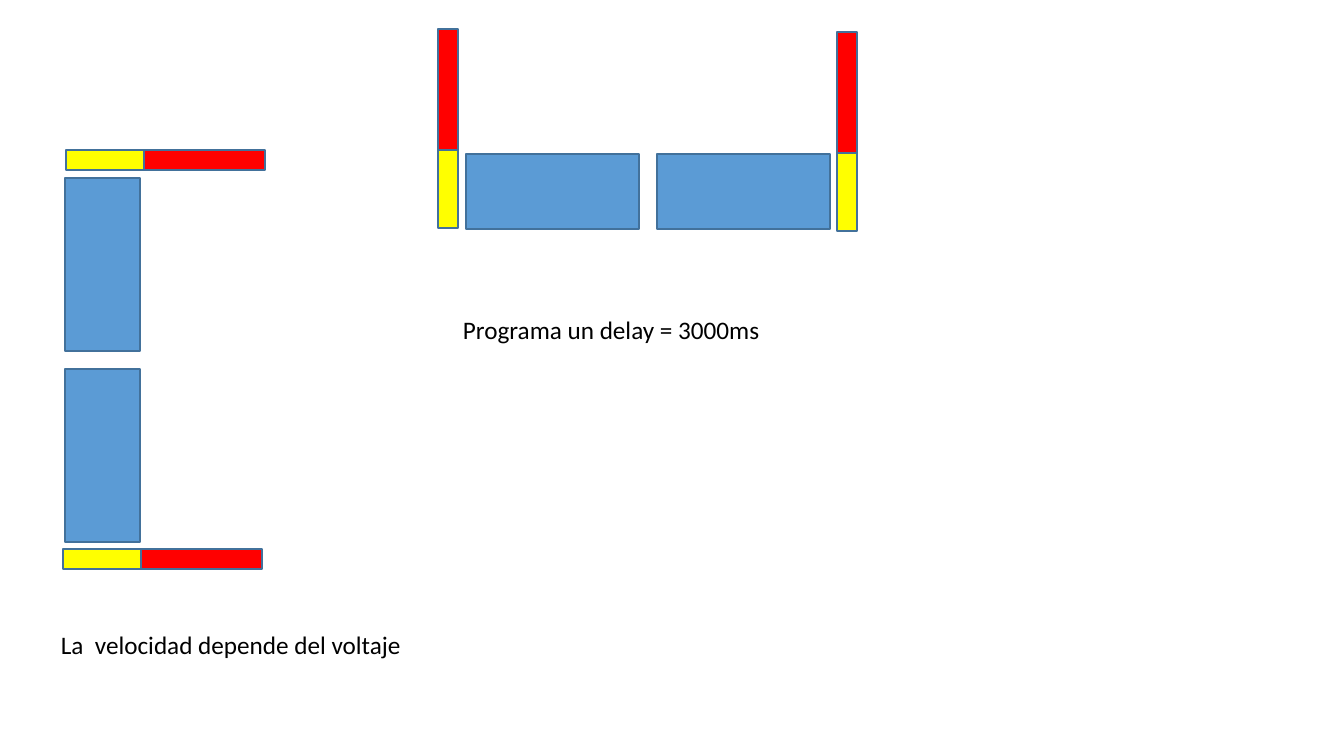
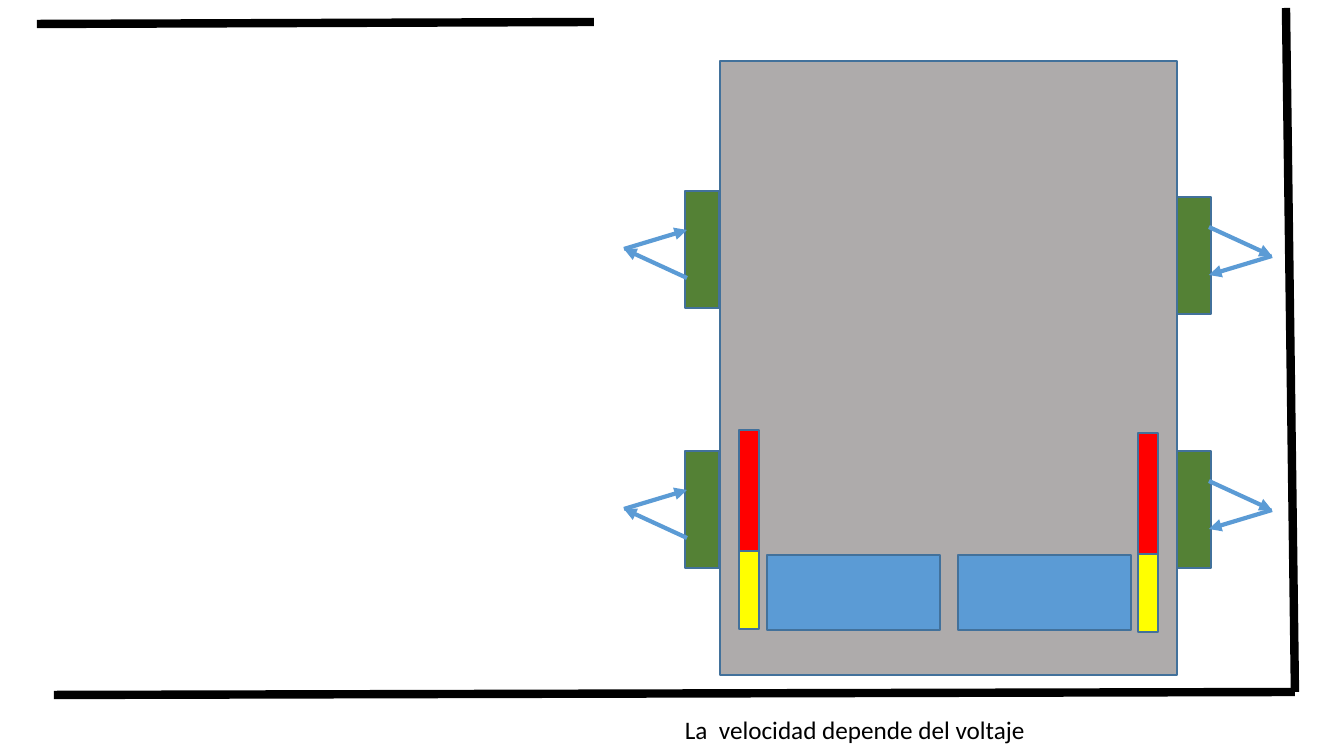
from pptx import Presentation
from pptx.dml.color import RGBColor
from pptx.enum import shapes, text
from pptx.oxml import ns
from pptx import util as u
from lxml import etree

SCALE = 914400 / 100.8
BLUE, EDGE, RED, YELLOW = "5B9BD5", "42719B", "FF0000", "FFFF00"
GREY, GREEN, BLACK = "AEABAB", "548135", "000000"
FONT = "Calibri"
SPEED = "La  velocidad depende del voltaje"
MOTORS = [
    (28, 125, 173, 75, BLUE), (0, 121, 20, 78, YELLOW), (0, 0, 20, 121, RED),
    (219, 125, 173, 75, BLUE), (399, 124, 20, 78, YELLOW), (399, 3, 20, 121, RED),
]
DEPTH = 203
SENSOR = (34, 117)
BEAM = [(2, 87), (-61, 58), (2, 39)]


def px(n):
    """Turn pixels into EMU."""
    return u.Emu(round(n * SCALE))


def paint(code):
    """Turn a hex string into a colour."""
    return RGBColor.from_string(code)


def rect(home, x, y, w, h, fill):
    """Draw a filled rectangle with the shared outline."""
    box = home.add_shape(shapes.MSO_SHAPE.RECTANGLE, px(x), px(y), px(w), px(h))
    box.shadow.inherit = False
    box.fill.solid()
    box.fill.fore_color.rgb = paint(fill)
    box.line.color.rgb = paint(EDGE)
    box.line.width = u.Pt(1)


def line(home, start, end, color, width, arrow=False):
    """Draw a straight line, with an arrowhead at its end if asked."""
    link = home.add_connector(
        shapes.MSO_CONNECTOR.STRAIGHT, *map(px, (*start, *end)))
    link.line.color.rgb = paint(color)
    link.line.width = u.Pt(width)
    if arrow:
        etree.SubElement(link.line._get_or_add_ln(), ns.qn("a:tailEnd"),
                         type="triangle")
    etree.SubElement(link._element.spPr, ns.qn("a:effectLst"))


def label(home, x, y, w, words):
    """Write one line of text."""
    box = home.add_textbox(px(x), px(y), px(w), px(40))
    frame = box.text_frame
    frame.word_wrap = True
    frame.auto_size = text.MSO_AUTO_SIZE.SHAPE_TO_FIT_TEXT
    frame.text = words
    font = frame.paragraphs[0].font
    font.name, font.size = FONT, u.Pt(18)
    font.color.rgb = paint(BLACK)


def motors(home, left, top, turned=False):
    """Draw the pair of motors, turned clockwise if asked."""
    for x, y, w, h, fill in MOTORS:
        if turned:
            x, y, w, h = DEPTH - y - h, x, h, w
        rect(home, left + x, top + y, w, h, fill)


def sensor(home, left, top, turned=False):
    """Draw a sensor and its beam, turned half round if asked."""
    wide, high = SENSOR
    rect(home, left, top, wide, high, GREEN)
    path = [(wide - x, high - y) if turned else (x, y) for x, y in BEAM]
    out, wall, back = [(left + x, top + y) for x, y in path]
    line(home, out, wall, BLUE, 3, True)
    line(home, wall, back, BLUE, 3, True)


def robot(home, left, top):
    """Draw the robot with its motors and four sensors."""
    rect(home, left, top, 457, 614, GREY)
    motors(home, left + 19, top + 369)
    for x, y, turned in [(-35, 390, False), (457, 390, True),
                         (-35, 130, False), (457, 136, True)]:
        sensor(home, left + x, top + y, turned)


def drives(slide):
    """Build the slide with the two motor views."""
    home = slide.shapes
    motors(home.add_group_shape().shapes, 62, 150, True)
    label(home, 51, 624, 365, SPEED)
    motors(home.add_group_shape().shapes, 438, 29)
    label(home, 453, 309, 326, "Programa un delay = 3000ms")


def maze(slide):
    """Build the slide with the robot between walls."""
    home = slide.shapes
    label(home, 675, 709, 365, SPEED)
    line(home, (37, 24), (594, 22), BLACK, 6)
    line(home, (1295, 692), (54, 695), BLACK, 6)
    robot(home.add_group_shape().shapes, 720, 61)
    line(home, (1286, 8), (1295, 692), BLACK, 6)


def main():
    """Build and save the deck."""
    deck = Presentation()
    deck.slide_width, deck.slide_height = px(1344), px(756)
    for build in (drives, maze):
        build(deck.slides.add_slide(deck.slide_layouts[6]))
    deck.save("out.pptx")


if __name__ == "__main__":
    main()
